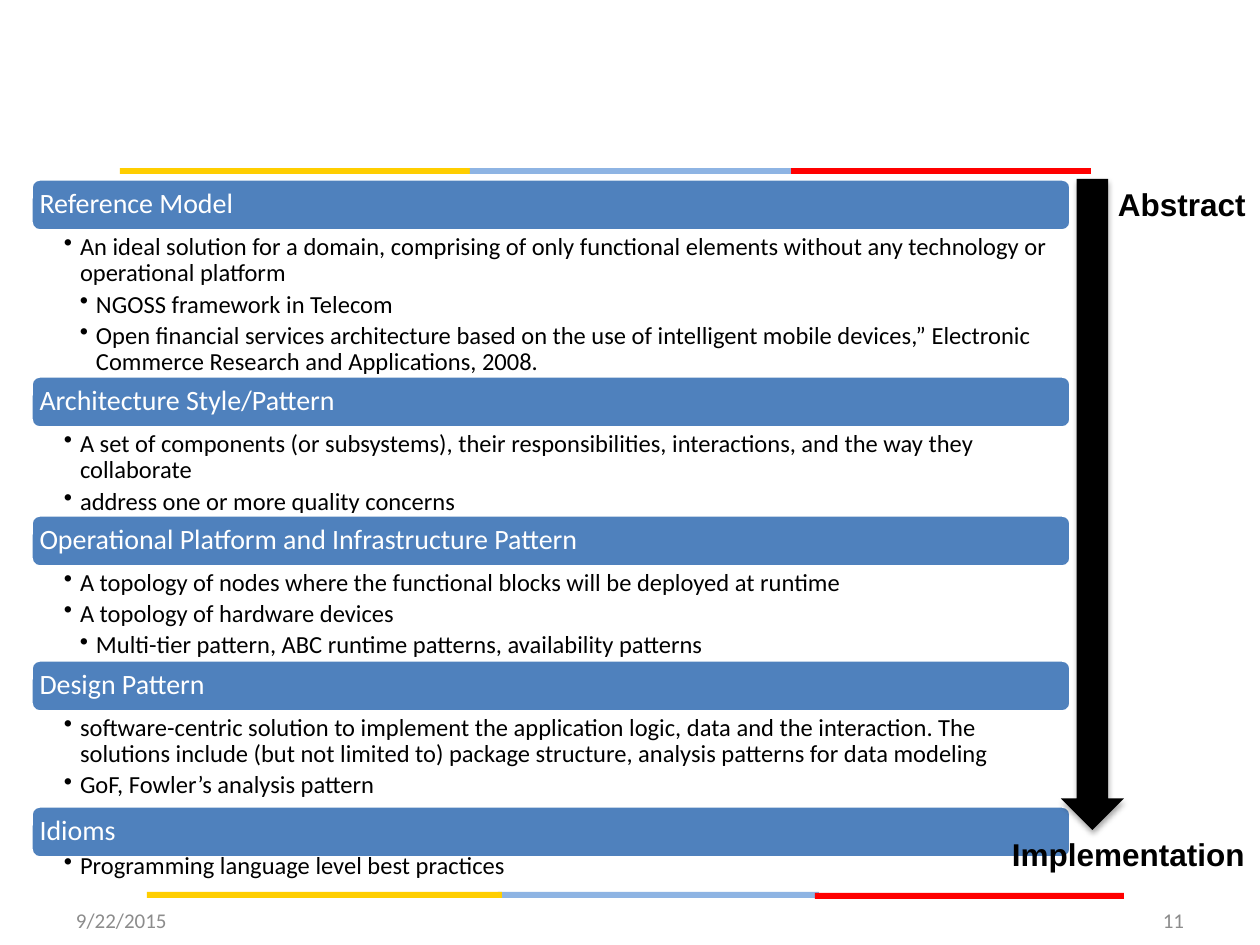
import pptx
import pptx.dml.color
import pptx.enum.shapes
import pptx.enum.text
import pptx.oxml
import pptx.oxml.ns
import pptx.util

EMU_PER_PX = 914400 // 126
SHAPES = pptx.enum.shapes.MSO_SHAPE
ALIGN = pptx.enum.text.PP_ALIGN
ANCHOR = pptx.enum.text.MSO_ANCHOR
COLORS = {
    "yellow": "FFCE00", "light_blue": "8EB4E3", "red": "FF0000",
    "blue": "4F81BD", "white": "FFFFFF", "black": "000000", "gray": "8C8C8C",
}
# Heading, heading top, body top, body height, (bullet level, text) pairs
SECTIONS = [
    ("Reference Model", 179, 231, 146, [
        (1, "An ideal solution for a domain, comprising of only functional elements "
            "without any technology or operational platform"),
        (2, "NGOSS framework in Telecom"),
        (2, "Open financial services architecture based on the use of intelligent mobile "
            "devices,” Electronic Commerce Research and Applications, 2008."),
    ]),
    ("Architecture Style/Pattern", 376, 428, 88, [
        (1, "A set of components (or subsystems), their responsibilities, interactions, "
            "and the way they collaborate"),
        (1, "address one or more quality concerns"),
    ]),
    ("Operational Platform and Infrastructure Pattern", 515, 567, 93, [
        (1, "A topology of nodes where the functional blocks will be deployed at runtime"),
        (1, "A topology of hardware devices"),
        (2, "Multi-tier pattern, ABC runtime patterns, availability patterns"),
    ]),
    ("Design Pattern", 660, 712, 88, [
        (1, "software-centric solution to implement the application logic, data and the "
            "interaction. The solutions include (but not limited to) package structure, "
            "analysis patterns for data modeling"),
        (1, "GoF, Fowler’s analysis pattern"),
    ]),
    ("Idioms", 806, 850, 52, [(1, "Programming language level best practices")]),
]
# Left, top, width, color
STRIPES = [
    (784, 168, 307, "red"), (120, 168, 355, "yellow"), (470, 168, 321, "light_blue"),
    (498, 892, 321, "light_blue"), (815, 893, 309, "red"), (147, 892, 355, "yellow"),
]


def px(length):
    return pptx.util.Emu(length * EMU_PER_PX)


def rgb(name):
    return pptx.dml.color.RGBColor.from_string(COLORS[name])


class SlideBuilder:
    def __init__(self, slide, font="Calibri"):
        self.slide = slide
        self.font = font

    def shape(self, kind, left, top, width, height, color, outline=None):
        shape = self.slide.shapes.add_shape(kind, px(left), px(top), px(width), px(height))
        shape.shadow.inherit = False
        shape.fill.solid()
        shape.fill.fore_color.rgb = rgb(color)
        if outline:
            shape.line.color.rgb = rgb(outline)
            shape.line.width = pptx.util.Pt(2)
        else:
            shape.line.fill.background()
        return shape

    def frame(self, shape, insets, anchor=ANCHOR.TOP, wrap=True):
        frame = shape.text_frame
        frame.word_wrap = wrap
        frame.vertical_anchor = anchor
        (frame.margin_left, frame.margin_top,
         frame.margin_right, frame.margin_bottom) = map(px, insets)
        return frame

    def run(self, paragraph, text, size, color, font=None, bold=False):
        run = paragraph.add_run()
        run.text = text
        run.font.size = pptx.util.Pt(size)
        run.font.name = font or self.font
        run.font.bold = bold
        run.font.color.rgb = rgb(color)

    def heading(self, text, top):
        bar = self.shape(SHAPES.ROUNDED_RECTANGLE, 31, top, 1040, 52, "blue", "white")
        paragraph = self.frame(bar, (6, 6, 6, 6), ANCHOR.MIDDLE).paragraphs[0]
        paragraph.alignment = ALIGN.LEFT
        paragraph.line_spacing = 0.9
        self.run(paragraph, text, 16, "white")

    def bullets(self, items, top, height):
        box = self.slide.shapes.add_textbox(px(31), px(top), px(1040), px(height))
        frame = self.frame(box, (33, 3, 14, 3))
        for index, (level, text) in enumerate(items):
            paragraph = frame.paragraphs[0] if index == 0 else frame.add_paragraph()
            paragraph.level = level
            paragraph.line_spacing = 0.9
            paragraph.space_after = pptx.util.Pt(2.8)
            properties = paragraph._p.get_or_add_pPr()
            properties.set("marL", str(px(16 * level)))
            properties.set("indent", str(-px(16)))
            properties.append(pptx.oxml.parse_xml(
                f'<a:buChar {pptx.oxml.ns.nsdecls("a")} char="•"/>'))
            self.run(paragraph, text, 14, "black")

    def label(self, text, left, top, width, size, color, align=ALIGN.LEFT,
              anchor=ANCHOR.TOP, wrap=True, font=None, bold=False):
        box = self.slide.shapes.add_textbox(px(left), px(top), px(width), px(50))
        paragraph = self.frame(box, (13, 6, 13, 6), anchor, wrap).paragraphs[0]
        paragraph.alignment = align
        self.run(paragraph, text, size, color, font, bold)

    def shadowed_arrow(self, left, top, width, height):
        arrow = self.shape(SHAPES.DOWN_ARROW, left, top, width, height, "black")
        effects = arrow._element.spPr.find(pptx.oxml.ns.qn("a:effectLst"))
        effects.append(pptx.oxml.parse_xml(
            f'<a:outerShdw {pptx.oxml.ns.nsdecls("a")} blurRad="40000" dist="23000" '
            f'dir="5400000" rotWithShape="0"><a:srgbClr val="{COLORS["black"]}">'
            '<a:alpha val="35000"/></a:srgbClr></a:outerShdw>'))


def main():
    presentation = pptx.Presentation()
    presentation.slide_width = px(1260)
    presentation.slide_height = px(945)
    builder = SlideBuilder(presentation.slides.add_slide(presentation.slide_layouts[6]))

    for left, top, width, color in STRIPES:
        builder.shape(SHAPES.RECTANGLE, left, top, width, 6, color)
    for heading, heading_top, body_top, body_height, items in SECTIONS:
        builder.heading(heading, heading_top)
        builder.bullets(items, body_top, body_height)

    builder.shadowed_arrow(1061, 179, 63, 651)
    for text, left, top, width in [("Abstract", 1105, 179, 155),
                                   ("Implementation", 999, 829, 261)]:
        builder.label(text, left, top, width, 18, "black", wrap=False,
                      font="Arial", bold=True)
    for text, left, align in [("9/22/2015", 63, ALIGN.LEFT), ("11", 903, ALIGN.RIGHT)]:
        builder.label(text, left, 895, 294, 12, "gray", align, ANCHOR.MIDDLE)

    presentation.save("out.pptx")


if __name__ == "__main__":
    main()
